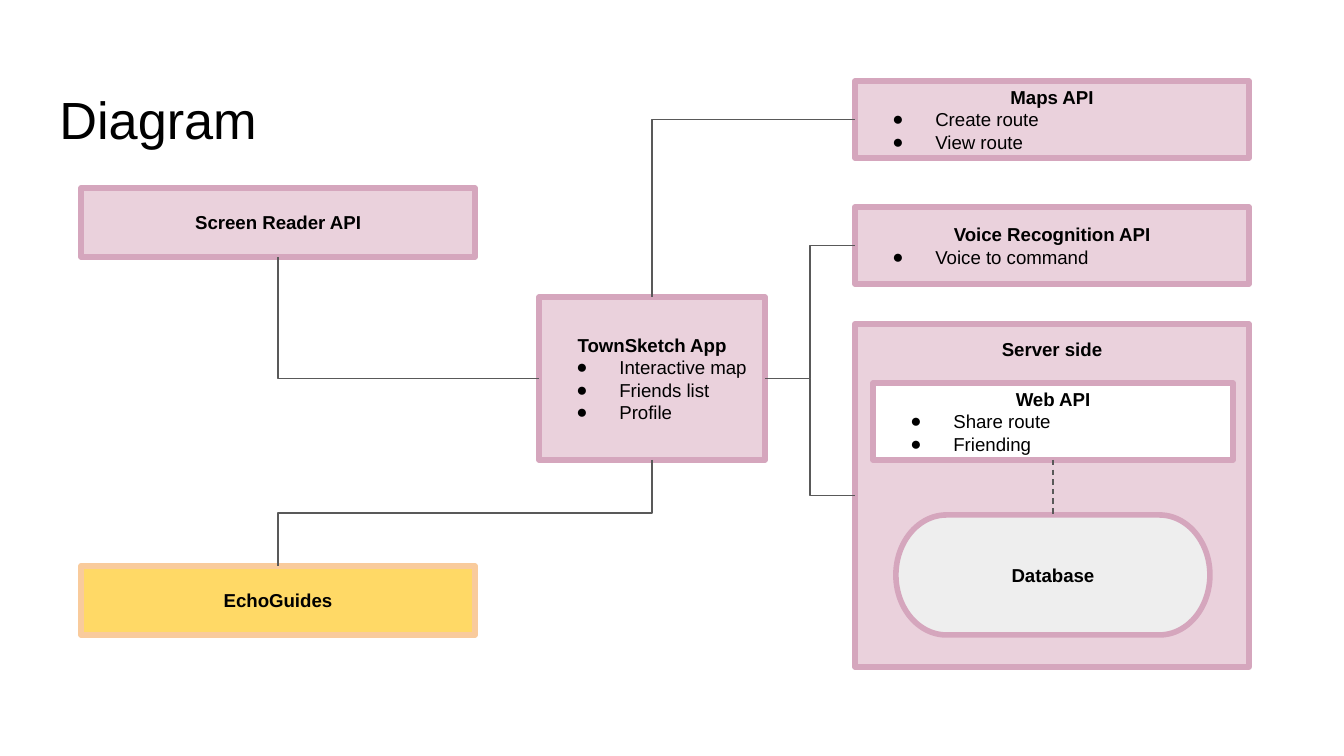
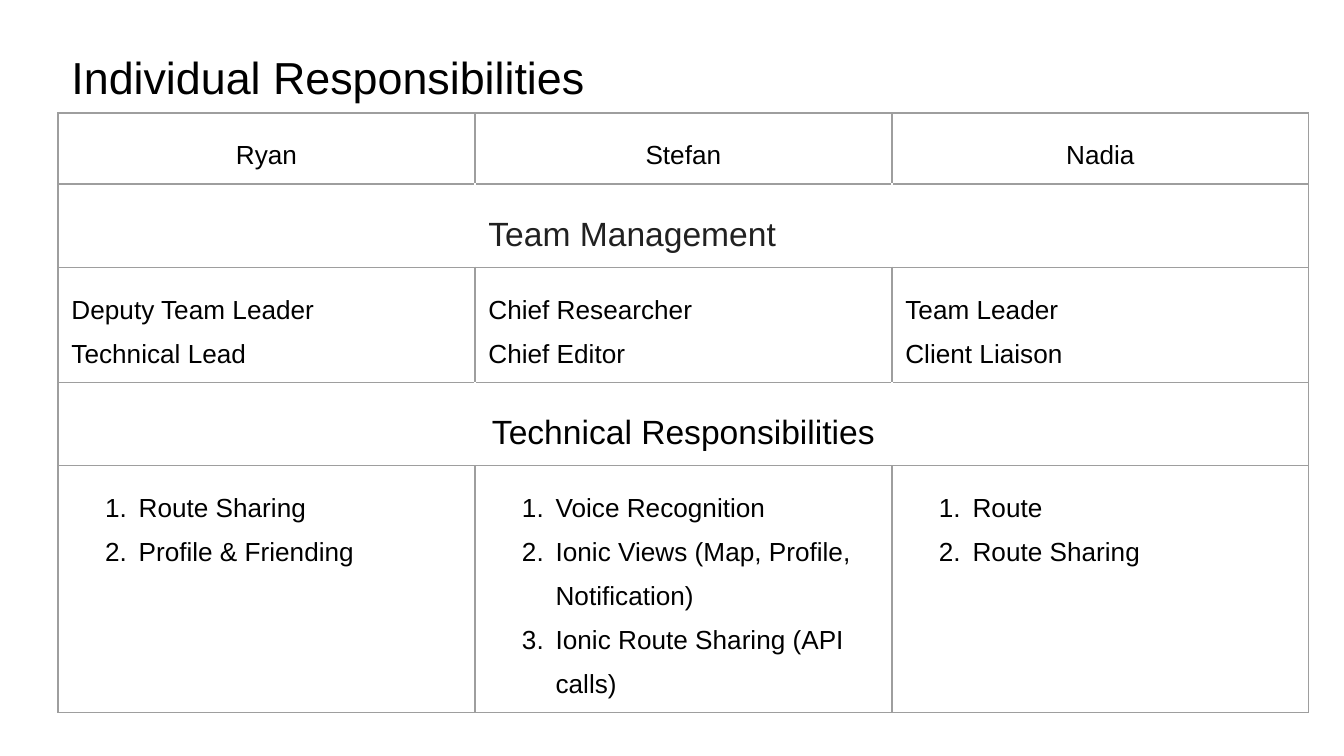
import dataclasses

import lxml.etree
import pptx
import pptx.dml.color
import pptx.enum.dml
import pptx.enum.shapes
import pptx.enum.text
import pptx.oxml.ns
import pptx.util

SHAPES = pptx.enum.shapes.MSO_SHAPE
CONNECTORS = pptx.enum.shapes.MSO_CONNECTOR
ANCHORS = pptx.enum.text.MSO_ANCHOR
ALIGN = pptx.enum.text.PP_ALIGN
qn = pptx.oxml.ns.qn

EMU_PER_PIXEL = 914400 / 134.4
TOP, LEFT, BOTTOM, RIGHT = range(4)


def px(length):
    return pptx.util.Emu(round(length * EMU_PER_PIXEL))


def rgb(code):
    return pptx.dml.color.RGBColor.from_string(code)


def add_node(parent, tag, **attributes):
    return lxml.etree.SubElement(parent, qn(tag), attributes)


@dataclasses.dataclass(frozen=True)
class Theme:
    font: str = "Arial"
    text: str = "000000"
    muted: str = "212121"
    paper: str = "FFFFFF"
    pink: str = "EAD1DC"
    pink_edge: str = "D5A6BD"
    yellow: str = "FFD966"
    yellow_edge: str = "F9CB9C"
    grey: str = "EEEEEE"
    wire: str = "595959"
    grid: str = "9E9E9E"
    diagram_title_size: float = 28
    table_title_size: float = 24
    box_size: float = 10
    cell_size: float = 14
    band_size: float = 18
    box_line: float = 3
    thin_line: float = 0.75
    cell_spacing: float = 1.5
    inset: float = 0.1


class Builder:
    def __init__(self, theme):
        self.theme = theme
        self.deck = pptx.Presentation()
        self.deck.slide_width = px(1344)
        self.deck.slide_height = px(756)
        self.page = None

    def start_page(self, title, left, top, size):
        self.page = self.deck.slides.add_slide(self.deck.slide_layouts[5])
        box = self.page.shapes.title
        box.left, box.top, box.width, box.height = map(px, (left, top, 1253, 85))
        frame = box.text_frame
        self.set_frame(frame, ANCHORS.TOP)
        self.add_text(frame.paragraphs[0], title, size)

    def set_frame(self, frame, anchor):
        frame.word_wrap = True
        frame.auto_size = pptx.enum.text.MSO_AUTO_SIZE.NONE
        frame.vertical_anchor = anchor
        self.set_margins(frame)

    def set_margins(self, holder):
        inset = pptx.util.Inches(self.theme.inset)
        holder.margin_left = holder.margin_right = inset
        holder.margin_top = holder.margin_bottom = inset

    def add_text(self, para, text, size, bold=False, color=None, align=ALIGN.LEFT):
        para.alignment = align
        span = para.add_run()
        span.text = text
        span.font.name = self.theme.font
        span.font.size = pptx.util.Pt(size)
        span.font.bold = bold
        span.font.color.rgb = rgb(color or self.theme.text)

    def list_item(self, para, hanging, tag, **attributes):
        properties = para._p.get_or_add_pPr()
        properties.set("marL", str(pptx.util.Inches(0.5)))
        properties.set("indent", str(-pptx.util.Inches(hanging)))
        add_node(properties, "a:buFont", typeface=self.theme.font)
        add_node(properties, tag, **attributes)

    def box(self, frame, heading, items=(), fill=None, edge=None,
            kind=SHAPES.RECTANGLE, anchor=ANCHORS.MIDDLE):
        theme = self.theme
        box = self.page.shapes.add_shape(kind, *map(px, frame))
        box.shadow.inherit = False
        box.fill.solid()
        box.fill.fore_color.rgb = rgb(fill or theme.pink)
        box.line.color.rgb = rgb(edge or theme.pink_edge)
        box.line.width = pptx.util.Pt(theme.box_line)
        text = box.text_frame
        self.set_frame(text, anchor)
        self.add_text(text.paragraphs[0], heading, theme.box_size, bold=True,
                      align=ALIGN.CENTER)
        for item in items:
            para = text.add_paragraph()
            self.add_text(para, item, theme.box_size)
            self.list_item(para, 0.32, "a:buChar", char="●")
        return box

    def connect(self, start, start_side, end, end_side, kind=CONNECTORS.ELBOW,
                turn=0, preset=None, dashed=False):
        wire = self.page.shapes.add_connector(kind, 0, 0, 0, 0)
        wire.begin_connect(start, start_side)
        wire.end_connect(end, end_side)
        wire.line.color.rgb = rgb(self.theme.wire)
        wire.line.width = pptx.util.Pt(self.theme.thin_line)
        if dashed:
            wire.line.dash_style = pptx.enum.dml.MSO_LINE.DASH
        properties = wire._element.spPr
        add_node(properties, "a:effectLst")
        if preset:
            properties.find(qn("a:prstGeom")).set("prst", preset)
        if turn:
            self.turn_wire(wire, turn)

    def turn_wire(self, wire, turn):
        middle_x = (wire.begin_x + wire.end_x) // 2
        middle_y = (wire.begin_y + wire.end_y) // 2
        width, height = wire.width, wire.height
        if turn % 180:
            width, height = height, width
        wire.left, wire.top = middle_x - width // 2, middle_y - height // 2
        wire.width, wire.height = width, height
        transform = wire._element.spPr.find(qn("a:xfrm"))
        for flip in ("flipH", "flipV"):
            transform.attrib.pop(flip, None)
        transform.set("rot", str(turn * 60000))

    def table(self, left, top, column_width, row_heights):
        columns = 3
        shape = self.page.shapes.add_table(
            len(row_heights), columns, px(left), px(top),
            px(column_width * columns), px(sum(row_heights)))
        table = shape.table
        table.first_row = table.horz_banding = False
        for column in table.columns:
            column.width = px(column_width)
        for row, height in zip(table.rows, row_heights):
            row.height = px(height)
        return table

    def cell(self, cell, lines, size, numbered=False, color=None,
             align=ALIGN.LEFT, hidden=()):
        self.set_margins(cell)
        cell.fill.background()
        self.cell_borders(cell, hidden)
        frame = cell.text_frame
        for index, line in enumerate(lines):
            para = frame.add_paragraph() if index else frame.paragraphs[0]
            para.line_spacing = self.theme.cell_spacing
            self.add_text(para, line, size, color=color, align=align)
            if numbered:
                self.list_item(para, 0.25, "a:buAutoNum", type="arabicPeriod")

    def cell_borders(self, cell, hidden):
        properties = cell._tc.get_or_add_tcPr()
        for index, side in enumerate("LRTB"):
            color = self.theme.paper if side in hidden else self.theme.grid
            border = add_node(properties, "a:ln" + side,
                              w=str(pptx.util.Pt(self.theme.thin_line)))
            add_node(add_node(border, "a:solidFill"), "a:srgbClr", val=color)
            properties.insert(index, border)

    def text_row(self, table, row, cells, **style):
        for column, lines in enumerate(cells):
            self.cell(table.cell(row, column), lines, self.theme.cell_size, **style)

    def band_row(self, table, row, heading, **style):
        for column, hidden in enumerate(("R", "LR", "L")):
            lines = [heading] if column == 1 else []
            self.cell(table.cell(row, column), lines, self.theme.band_size,
                      hidden=hidden, **style)


def build_diagram(builder):
    theme = builder.theme
    builder.start_page("Diagram", 46, 74, theme.diagram_title_size)
    app = builder.box((539, 297, 226, 163), "TownSketch App",
                      ["Interactive map", "Friends list", "Profile"])
    reader = builder.box((81, 188, 394, 69), "Screen Reader API")
    maps = builder.box((855, 81, 394, 77), "Maps API",
                       ["Create route", "View route"])
    voice = builder.box((855, 207, 394, 77), "Voice Recognition API",
                        ["Voice to command"])
    server = builder.box((855, 324, 394, 343), "Server side", anchor=ANCHORS.TOP)
    web = builder.box((873, 383, 360, 77), "Web API",
                      ["Share route", "Friending"], fill=theme.paper)
    database = builder.box((896, 515, 314, 120), "Database", fill=theme.grey,
                           kind=SHAPES.FLOWCHART_TERMINATOR)
    audio = builder.box((81, 566, 394, 69), "EchoGuides",
                        fill=theme.yellow, edge=theme.yellow_edge)

    builder.connect(app, LEFT, reader, BOTTOM, turn=180, preset="bentConnector2")
    builder.connect(app, TOP, maps, LEFT, turn=270, preset="bentConnector2")
    builder.connect(app, RIGHT, voice, LEFT)
    builder.connect(app, RIGHT, server, LEFT)
    builder.connect(app, BOTTOM, audio, TOP, turn=90)
    builder.connect(web, BOTTOM, database, TOP, kind=CONNECTORS.STRAIGHT, dashed=True)


def build_responsibilities(builder):
    theme = builder.theme
    builder.start_page("Individual Responsibilities", 58, 36, theme.table_title_size)
    table = builder.table(58, 113, 417, [67, 75, 98, 73, 200])
    builder.text_row(table, 0, [["Ryan"], ["Stefan"], ["Nadia"]],
                     align=ALIGN.CENTER)
    builder.band_row(table, 1, "Team Management", color=theme.muted)
    builder.text_row(table, 2, [
        ["Deputy Team Leader", "Technical Lead"],
        ["Chief Researcher", "Chief Editor"],
        ["Team Leader", "Client Liaison"],
    ])
    builder.band_row(table, 3, "Technical Responsibilities", align=ALIGN.CENTER)
    builder.text_row(table, 4, [
        ["Route Sharing", "Profile & Friending"],
        ["Voice Recognition", "Ionic Views (Map, Profile, Notification)",
         "Ionic Route Sharing (API calls)"],
        ["Route", "Route Sharing"],
    ], numbered=True)


builder = Builder(Theme())
build_diagram(builder)
build_responsibilities(builder)
builder.deck.save("out.pptx")
